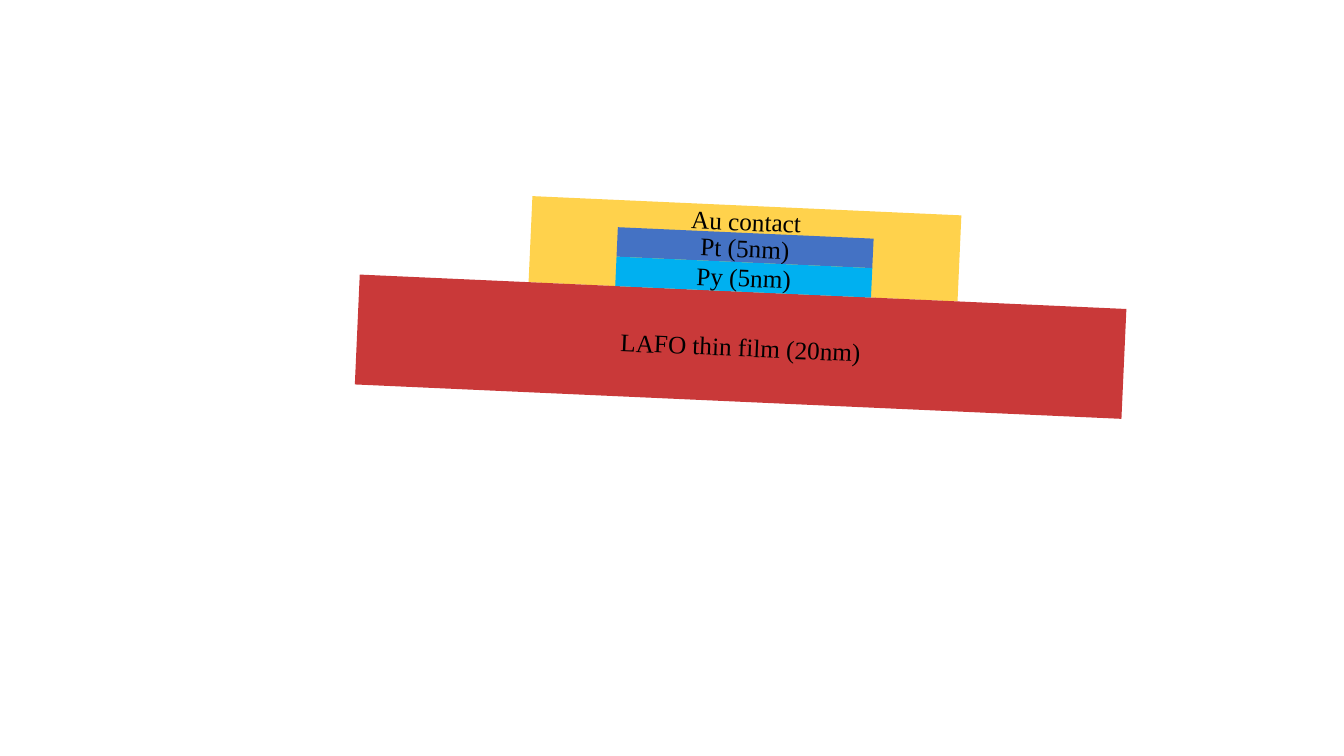
import pptx
import pptx.util
import pptx.dml.color
import pptx.enum.shapes
import pptx.enum.text
import pptx.oxml.ns
import lxml.etree

COLORS = {"gold": "FFC000", "blue": "4472C4", "red": "C93939",
          "cyan": "00B0F0", "ink": "000000"}
ANCHOR = pptx.enum.text.MSO_ANCHOR


class Stack:
    """Centred layers in one tilted group; lengths are percent of the slide."""

    font = {"name": "Times New Roman", "size": pptx.util.Pt(18)}
    frame = {"margin_left": 0, "margin_right": 0, "margin_top": 0,
             "margin_bottom": 0, "word_wrap": True}

    def __init__(self, deck, mid):
        self.wide, self.high = deck.slide_width, deck.slide_height
        self.mid = mid
        self.slide = deck.slides.add_slide(deck.slide_layouts[6])
        self.group = self.slide.shapes.add_group_shape()

    def color(self, name):
        return pptx.dml.color.RGBColor.from_string(COLORS[name])

    def layer(self, label, fill, top, width, height, anchor=ANCHOR.MIDDLE):
        left = self.mid - width / 2
        box = self.group.shapes.add_shape(
            pptx.enum.shapes.MSO_SHAPE.RECTANGLE,
            round(left / 100 * self.wide), round(top / 100 * self.high),
            round(width / 100 * self.wide), round(height / 100 * self.high))
        box.shadow.inherit = False
        box.fill.solid()
        box.fill.fore_color.rgb = self.color(fill)
        box.line.fill.background()
        self.text(box.text_frame, label, anchor)
        return box

    def text(self, frame, label, anchor):
        for key, value in self.frame.items():
            setattr(frame, key, value)
        frame.vertical_anchor = anchor
        para = frame.paragraphs[0]
        para.alignment = pptx.enum.text.PP_ALIGN.CENTER
        run = para.add_run()
        run.text = label
        for key, value in self.font.items():
            setattr(run.font, key, value)
        run.font.color.rgb = self.color("ink")

    def fade(self, box, share):
        qn = pptx.oxml.ns.qn
        tone = box._element.spPr.find(qn("a:solidFill")).find(qn("a:srgbClr"))
        lxml.etree.SubElement(tone, qn("a:alpha"), val=str(share * 1000))

    def tilt(self, angle):
        self.group.rotation = angle


def main():
    deck = pptx.Presentation()
    deck.slide_width = pptx.util.Inches(13.33)
    deck.slide_height = pptx.util.Inches(7.5)
    stack = Stack(deck, mid=55.25)

    # Levels: the film carries two equal thin layers
    film, thin, strip = 38.6, 3.9, 19.05
    cap = 11.4

    # Gold contact behind the layers
    gold = stack.layer("Au contact", "gold", film - cap, 31.95, cap, ANCHOR.TOP)
    stack.fade(gold, 70)

    # Metal layers and film
    stack.layer("Pt (5nm)", "blue", film - 2 * thin, strip, thin)
    stack.layer("LAFO thin film (20nm)", "red", film, 57.1, 14.55)
    stack.layer("Py (5nm)", "cyan", film - thin, strip, thin)

    stack.tilt(2.57)
    deck.save("out.pptx")


if __name__ == "__main__":
    main()
